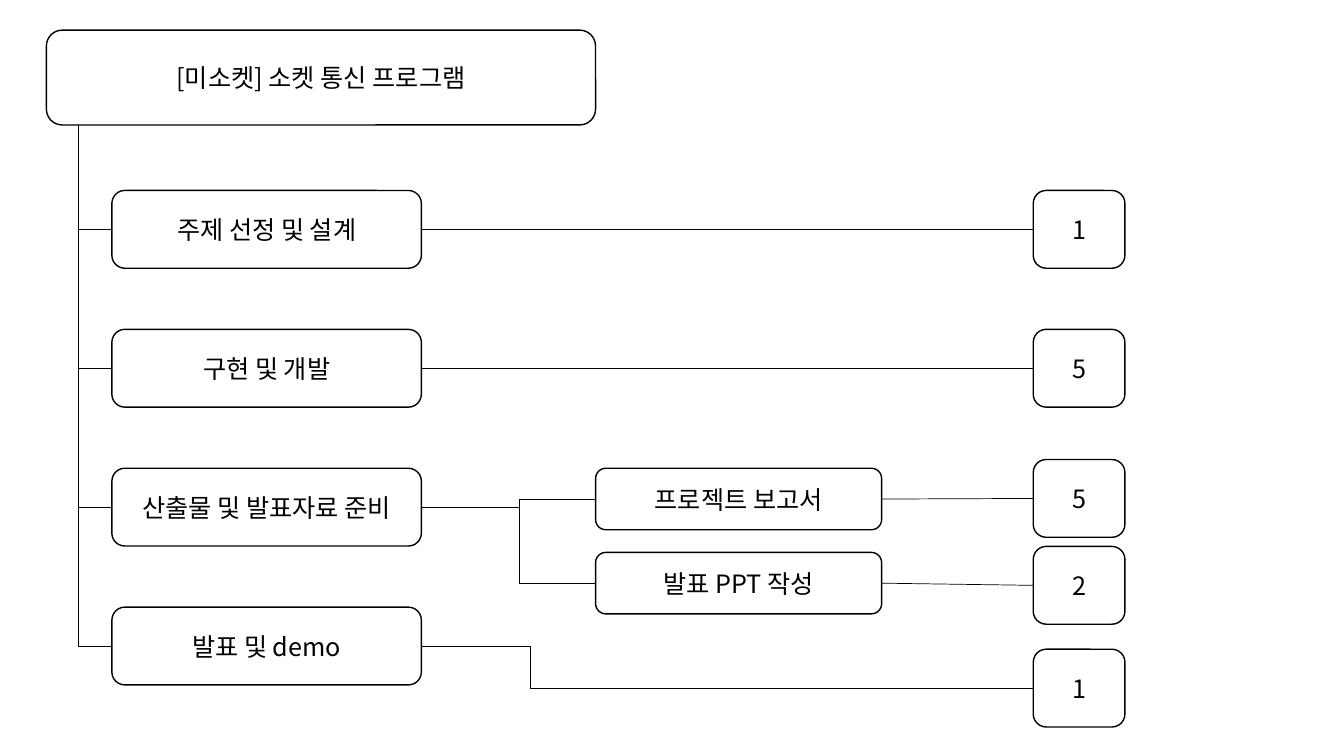
from lxml import etree
from pptx import Presentation
from pptx.dml.color import RGBColor
from pptx.enum.shapes import MSO_CONNECTOR, MSO_SHAPE
from pptx.enum.text import MSO_ANCHOR, PP_ALIGN
from pptx.oxml.ns import qn
from pptx.util import Cm, Pt

ROUNDED = MSO_SHAPE.ROUNDED_RECTANGLE
STRAIGHT, ELBOW = MSO_CONNECTOR.STRAIGHT, MSO_CONNECTOR.ELBOW
MIDDLE, CENTER = MSO_ANCHOR.MIDDLE, PP_ALIGN.CENTER
LEFT_SITE, RIGHT_SITE = 1, 3

COLORS = {"ink": "000000"}
FONT = "Noto Sans CJK KR"

TASKS = ["주제 선정 및 설계", "구현 및 개발", "산출물 및 발표자료 준비", "발표 및 demo"]
TASK_TOP, TASK_PITCH = 4.8, 3.5
DOCUMENTS = [("프로젝트 보고서", 11.8), ("발표 PPT 작성", 13.92)]
DAYS = [("1", 4.8), ("5", 8.3), ("5", 11.58), ("2", 13.77), ("1", 16.36)]
TRUNK_X, DOCUMENT_BEND, DEMO_BEND = 1.98, 13.08, 13.37


def write_text(shape, text, size=18, color="ink", align=CENTER):
    """Put one formatted line of text in a shape."""
    frame = shape.text_frame
    frame.word_wrap = True
    frame.vertical_anchor = MIDDLE
    paragraph = frame.paragraphs[0]
    paragraph.alignment = align
    run = paragraph.add_run()
    run.text = text
    run.font.size = Pt(size)
    run.font.name = FONT
    run.font.color.rgb = RGBColor.from_string(COLORS[color])
    properties = run.font._element
    etree.SubElement(properties, qn("a:ea")).set("typeface", FONT)


def add_box(slide, text, left, top, width, height):
    """Add an outlined rounded box, measured in centimetres."""
    box = slide.shapes.add_shape(ROUNDED, Cm(left), Cm(top), Cm(width), Cm(height))
    box.shadow.inherit = False
    box.fill.background()
    box.line.color.rgb = RGBColor.from_string(COLORS["ink"])
    box.line.width = Pt(1)
    write_text(box, text)
    return box


def add_line(slide, kind, begin, end):
    """Add a thin connector between two points."""
    line = slide.shapes.add_connector(kind, *begin, *end)
    line.line.color.rgb = RGBColor.from_string(COLORS["ink"])
    line.line.width = Pt(0.5)
    etree.SubElement(line._element.spPr, qn("a:effectLst"))
    return line


def middle(box):
    """Return the vertical middle of a box."""
    return box.top + box.height // 2


def link(slide, source, target, bend=None):
    """Join two boxes side to side, with an elbow at bend if given."""
    begin = source.left + source.width, middle(source)
    end = target.left, middle(target)
    line = add_line(slide, STRAIGHT if bend is None else ELBOW, begin, end)
    line.begin_connect(source, RIGHT_SITE)
    line.end_connect(target, LEFT_SITE)
    if bend is not None:
        ratio = (Cm(bend) - begin[0]) / (end[0] - begin[0])
        adjustments = line._element.spPr.find(qn("a:prstGeom")).get_or_add_avLst()
        guide = etree.SubElement(adjustments, qn("a:gd"))
        guide.set("name", "adj1")
        guide.set("fmla", f"val {round(ratio * 100000)}")


def add_trunk(slide, title, tasks):
    """Join the title to its tasks with a trunk and branches."""
    *branches, last = tasks
    trunk = add_line(slide, ELBOW, (last.left, middle(last)),
                     (Cm(TRUNK_X), title.top + title.height))
    trunk._element.spPr.find(qn("a:prstGeom")).set("prst", "bentConnector2")
    for task in branches:
        add_line(slide, STRAIGHT, (task.left, middle(task)), (Cm(TRUNK_X), middle(task)))


def main():
    """Build the work breakdown slide."""
    presentation = Presentation()
    presentation.slide_width, presentation.slide_height = Cm(33.87), Cm(19.05)
    slide = presentation.slides.add_slide(presentation.slide_layouts[6])

    title = add_box(slide, "[미소켓] 소켓 통신 프로그램", 1.17, 0.76, 13.84, 2.39)
    tasks = [add_box(slide, text, 2.82, TASK_TOP + row * TASK_PITCH, 7.8, 1.96)
             for row, text in enumerate(TASKS)]
    documents = [add_box(slide, text, 15.01, top, 7.21, 1.55) for text, top in DOCUMENTS]
    days = [add_box(slide, text, 26.04, top, 2.31, 1.96) for text, top in DAYS]

    add_trunk(slide, title, tasks)
    design, development, materials, demo = tasks
    link(slide, design, days[0])
    link(slide, development, days[1])
    for document, day in zip(documents, days[2:4]):
        link(slide, materials, document, bend=DOCUMENT_BEND)
        link(slide, document, day)
    link(slide, demo, days[4], bend=DEMO_BEND)

    presentation.save("out.pptx")


if __name__ == "__main__":
    main()
